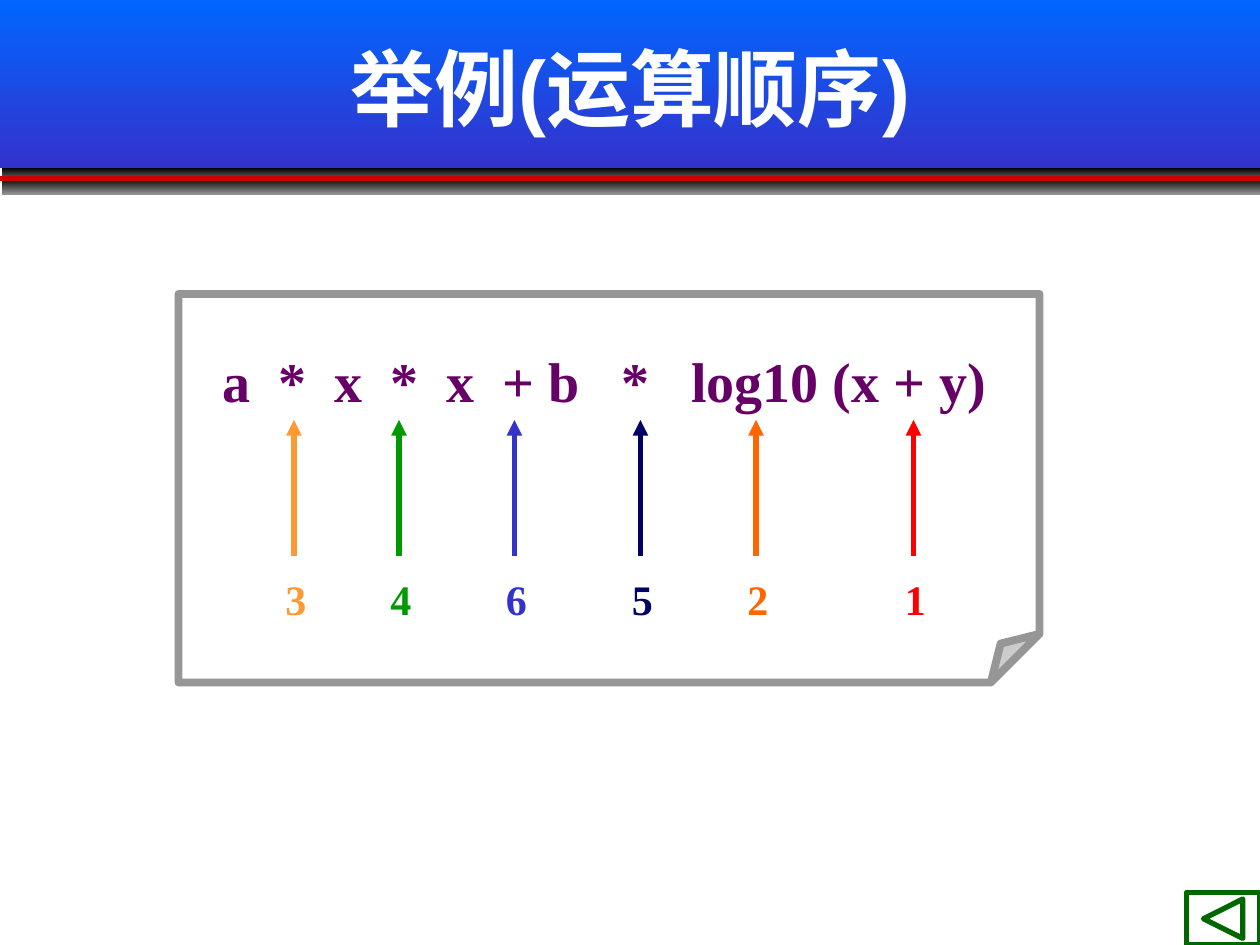
from lxml.etree import SubElement
from pptx import Presentation
from pptx.dml.color import RGBColor
from pptx.enum.shapes import MSO_CONNECTOR, MSO_SHAPE
from pptx.enum.text import MSO_ANCHOR, MSO_AUTO_SIZE, PP_ALIGN
from pptx.oxml.ns import qn
from pptx.util import Pt

COLORS = {
    "white": "FFFFFF", "sky": "0066FF", "blue": "3333CC", "black": "000000",
    "shade": "929292", "rule": "CC0000", "frame": "969696", "purple": "660066",
    "button": "006600", "red": "FF0000", "orange": "FF6600",
    "amber": "FF9933", "green": "009900", "navy": "000066",
}


def rgb(name):
    return RGBColor.from_string(COLORS[name])


def write(sp, text, size, color, font="Times New Roman", align=PP_ALIGN.LEFT,
          anchor=MSO_ANCHOR.BOTTOM, auto_size=MSO_AUTO_SIZE.SHAPE_TO_FIT_TEXT,
          tabs=()):
    tf = sp.text_frame
    tf.word_wrap = True
    tf.auto_size = auto_size
    tf.vertical_anchor = anchor
    p = tf.paragraphs[0]
    p.alignment = align
    if tabs:
        tab_list = SubElement(p._p.get_or_add_pPr(), qn("a:tabLst"))
        for stop in tabs:
            SubElement(tab_list, qn("a:tab"), pos=str(Pt(stop)), algn="l")
    r = p.add_run()
    r.text = text
    r.font.name = font
    r.font.size = Pt(size)
    r.font.bold = True
    r.font.color.rgb = rgb(color)


prs = Presentation()
prs.slide_width, prs.slide_height = Pt(720), Pt(540)
s = prs.slides.add_slide(prs.slide_layouts[5])
title = s.shapes.title

# Header band and the two shaded strips below it, behind the title
for left, top, height, start, end in [
    (0, 0, 96, "sky", "blue"),
    (1, 96, 9, "black", "shade"),
    (1, 102, 9, "black", "shade"),
]:
    band = s.shapes.add_shape(MSO_SHAPE.RECTANGLE, Pt(left), Pt(top),
                              Pt(720 - left), Pt(height))
    band.shadow.inherit = False
    band.line.fill.background()
    band.fill.gradient()
    band.fill.gradient_angle = 270
    for stop, color in zip(band.fill.gradient_stops, (start, end)):
        stop.color.rgb = rgb(color)
    title.element.addprevious(band.element)

# Title
title.left, title.top, title.width, title.height = Pt(54), Pt(4.5), Pt(612), Pt(90)
write(title, "举例(运算顺序)", 48, "white", font="Arial", align=PP_ALIGN.CENTER,
      anchor=MSO_ANCHOR.MIDDLE, auto_size=MSO_AUTO_SIZE.NONE)

# Note sheet, with the size of its fold set in XML
sheet = s.shapes.add_shape(MSO_SHAPE.FOLDED_CORNER, Pt(102), Pt(168), Pt(492), Pt(222))
guides = sheet.element.find(".//" + qn("a:avLst"))
SubElement(guides, qn("a:gd"), name="adj", fmla="val 12500")
sheet.shadow.inherit = False
sheet.fill.solid()
sheet.fill.fore_color.rgb = rgb("white")
sheet.line.color.rgb = rgb("frame")
sheet.line.width = Pt(4.5)

# Red rule, then one arrow for each operator: x1, y1, x2, y2, colour, order
lines = [(0, 102, 720, 102, "rule", None)]
for order, (x, color) in enumerate([
    (522, "red"), (432, "orange"), (168, "amber"),
    (228, "green"), (366, "navy"), (294, "blue"),
], start=1):
    lines.append((x, 240, x, 318, color, order))

for x1, y1, x2, y2, color, order in lines:
    line = s.shapes.add_connector(MSO_CONNECTOR.STRAIGHT, Pt(x1), Pt(y1), Pt(x2), Pt(y2))
    line.line.color.rgb = rgb(color)
    line.line.width = Pt(3)
    if order:
        SubElement(line.line._get_or_add_ln(), qn("a:headEnd"), type="triangle")
        label = s.shapes.add_textbox(Pt(x1 - 12), Pt(324), Pt(24), Pt(36))
        write(label, str(order), 24, color)
    SubElement(line._element.spPr, qn("a:effectLst"))

# Expression, with its operators spaced out by tab stops
expression = s.shapes.add_textbox(Pt(120), Pt(194.5), Pt(486), Pt(45.5))
write(expression, "a\t*\tx\t*\tx\t+ b\t*\tlog10 (x + y)", 32, "purple",
      tabs=(32, 64, 96, 128, 160, 228, 268))

# Back button
button = s.shapes.add_shape(MSO_SHAPE.ACTION_BUTTON_BACK_OR_PREVIOUS,
                            Pt(678), Pt(510), Pt(42), Pt(30))
button.shadow.inherit = False
button.fill.background()
button.line.color.rgb = rgb("button")
button.line.width = Pt(3)

prs.save("out.pptx")
